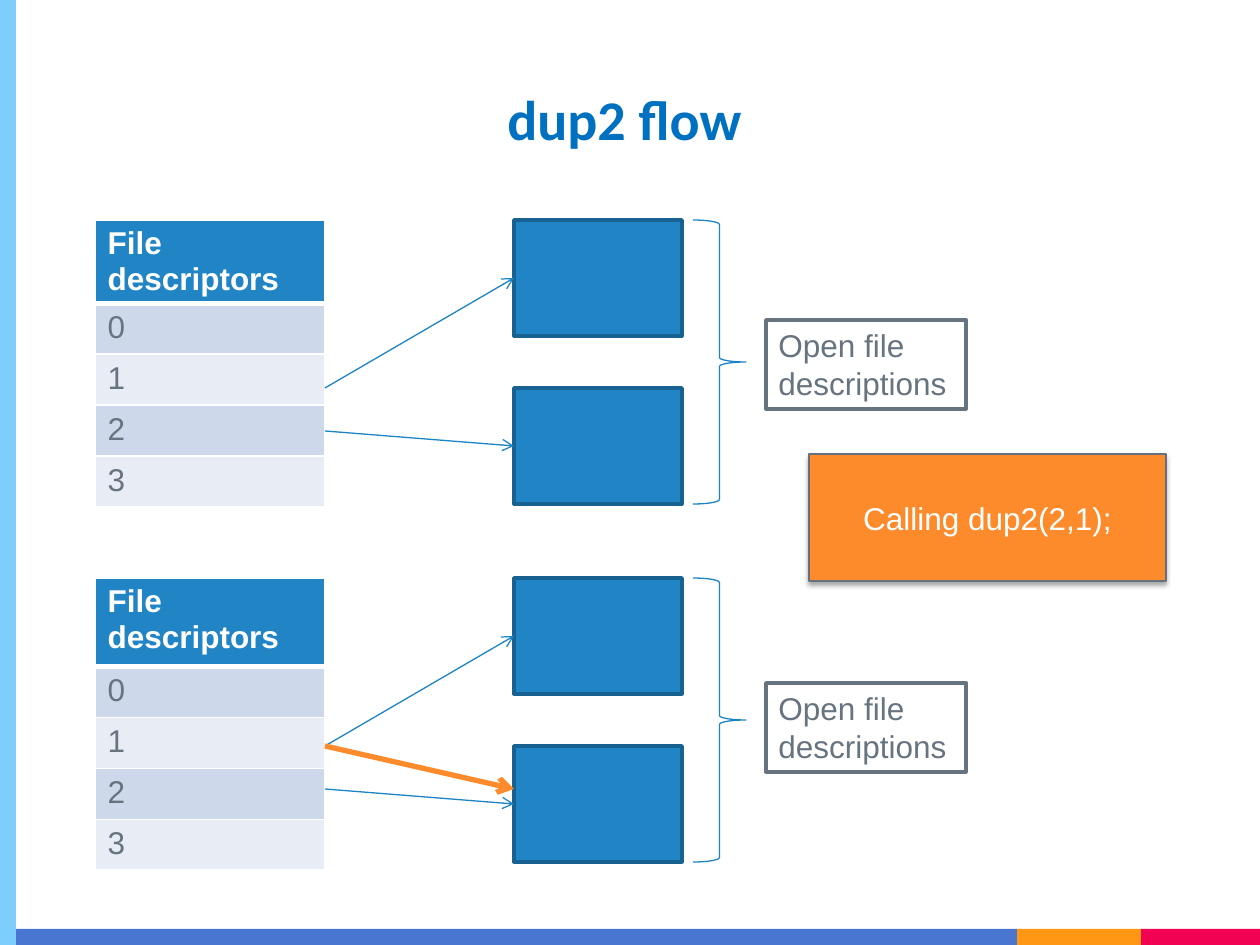
"""Build the dup2 flow slide: descriptor tables before and after the call."""
from lxml.etree import SubElement
from pptx import Presentation
from pptx.dml.color import RGBColor
from pptx.enum.shapes import MSO_CONNECTOR as CONNECTOR, MSO_SHAPE as SHAPE
from pptx.enum.text import MSO_ANCHOR as ANCHOR, MSO_AUTO_SIZE as AUTO_SIZE, PP_ALIGN as ALIGN
from pptx.oxml.ns import qn
from pptx.util import Pt

WHITE = RGBColor(0xFF, 0xFF, 0xFF)
BLACK = RGBColor(0x00, 0x00, 0x00)
TITLE_BLUE = RGBColor(0x00, 0x70, 0xC0)
BLUE = RGBColor(0x21, 0x85, 0xC5)
EDGE_BLUE = RGBColor(0x18, 0x62, 0x92)
LINE_BLUE = RGBColor(0x1C, 0x83, 0xC5)
ROW_DARK = RGBColor(0xCD, 0xD9, 0xEA)
ROW_LIGHT = RGBColor(0xE8, 0xED, 0xF5)
GREY = RGBColor(0x67, 0x74, 0x80)
EDGE_GREY = RGBColor(0x64, 0x71, 0x7E)
ORANGE = RGBColor(0xFD, 0x8A, 0x2B)
BAR_PINK = RGBColor(0xF2, 0x02, 0x53)
BAR_ORANGE = RGBColor(0xFF, 0x97, 0x15)
BAR_BLUE = RGBColor(0x49, 0x76, 0xD1)
BAR_SKY = RGBColor(0x7E, 0xCE, 0xFD)

TITLE = "dup2 flow"
CALL = "Calling dup2(2,1);"
LABEL = "Open file descriptions"
ROWS = ["File descriptors", "0", "1", "2", "3"]
PANELS = [{"top": 220, "label_top": 320}, {"top": 578, "label_top": 683}]
TABLE_LEFT, TABLE_WIDTH, ROW_HEIGHT = 95, 230, 51
FILE_LEFT, FILE_WIDTH, FILE_HEIGHT, FILE_STEP = 514, 168, 116, 168
ARROWS = [(168, 58), (211, 226)]
NEW_ARROW = (168, 211)
BARS = [
    (1140, 929, 120, 16, BAR_PINK),
    (1016, 929, 125, 16, BAR_ORANGE),
    (0, 929, 1017, 16, BAR_BLUE),
    (0, 0, 16, 945, BAR_SKY),
]


def px(*lengths):
    return [round(length * 914400 / 126) for length in lengths]


def add_run(para, text, color, size=18, font="Arial", bold=False):
    run = para.add_run()
    run.text = text
    run.font.name, run.font.size, run.font.bold = font, Pt(size), bold
    run.font.color.rgb = color


def add_box(slide, place, fill=None, line=None, width=0.75, kind=SHAPE.RECTANGLE):
    box = slide.shapes.add_shape(kind, *px(*place))
    box.shadow.inherit = False
    if fill is None:
        box.fill.background()
    else:
        box.fill.solid()
        box.fill.fore_color.rgb = fill
    if line is None:
        box.line.fill.background()
    else:
        box.line.color.rgb = line
        box.line.width = Pt(width)
    return box


def add_text(box, text, color, align):
    frame = box.text_frame
    frame.word_wrap = True
    frame.auto_size = AUTO_SIZE.SHAPE_TO_FIT_TEXT if align == ALIGN.LEFT else AUTO_SIZE.NONE
    frame.vertical_anchor = ANCHOR.TOP if align == ALIGN.LEFT else ANCHOR.MIDDLE
    para = frame.paragraphs[0]
    para.alignment = align
    add_run(para, text, color)


def add_arrow(slide, top, ends, color=LINE_BLUE, width=0.75):
    start, end = ends
    points = px(TABLE_LEFT + TABLE_WIDTH, top + start, FILE_LEFT, top + end)
    arrow = slide.shapes.add_connector(CONNECTOR.STRAIGHT, *points)
    arrow.line.color.rgb = color
    arrow.line.width = Pt(width)
    SubElement(arrow.line._get_or_add_ln(), qn("a:tailEnd"), type="arrow")
    SubElement(arrow._element.spPr, qn("a:effectLst"))


def add_borders(cell, bottom):
    properties = cell._tc.get_or_add_tcPr()
    for index, side in enumerate(("lnL", "lnR", "lnT", "lnB")):
        width = bottom if side == "lnB" else 1
        line = SubElement(properties, qn(f"a:{side}"), w=str(Pt(width)))
        fill = SubElement(line, qn("a:solidFill"))
        SubElement(fill, qn("a:srgbClr"), val=str(WHITE))
        properties.insert(index, line)


def add_descriptors(slide, top):
    place = px(TABLE_LEFT, top, TABLE_WIDTH, ROW_HEIGHT * len(ROWS))
    table = slide.shapes.add_table(len(ROWS), 1, *place).table
    for index, text in enumerate(ROWS):
        header = index == 0
        table.rows[index].height = px(ROW_HEIGHT)[0]
        cell = table.cell(index, 0)
        cell.fill.solid()
        cell.fill.fore_color.rgb = BLUE if header else ROW_DARK if index % 2 else ROW_LIGHT
        add_borders(cell, 3 if header else 1)
        add_run(cell.text_frame.paragraphs[0], text, WHITE if header else GREY, bold=header)


def add_panel(slide, top, label_top):
    add_descriptors(slide, top)
    for index in range(2):
        place = (FILE_LEFT, top + index * FILE_STEP, FILE_WIDTH, FILE_HEIGHT)
        add_box(slide, place, BLUE, EDGE_BLUE, 2)
    for ends in ARROWS:
        add_arrow(slide, top, ends)
    add_box(slide, (693, top, 53, 284), line=LINE_BLUE, kind=SHAPE.RIGHT_BRACE)
    label = add_box(slide, (766, label_top, 200, 89), WHITE, GREY, 2)
    add_text(label, LABEL, GREY, ALIGN.LEFT)


def add_call(slide):
    box = add_box(slide, (809, 454, 357, 127), ORANGE, EDGE_GREY)
    add_text(box, CALL, WHITE, ALIGN.CENTER)
    effects = box._element.spPr.find(qn("a:effectLst"))
    shadow = SubElement(effects, qn("a:outerShdw"), blurRad=str(Pt(3.1)), dist=str(Pt(1.8)),
                        dir="5400000", rotWithShape="0")
    color = SubElement(shadow, qn("a:srgbClr"), val=str(BLACK))
    SubElement(color, qn("a:alpha"), val="35000")


def add_title(slide):
    title = slide.shapes.title
    title.left, title.top, title.width, title.height = px(84, 79, 1081, 78)
    title.text_frame.vertical_anchor = ANCHOR.MIDDLE
    para = title.text_frame.paragraphs[0]
    para.alignment = ALIGN.CENTER
    add_run(para, TITLE, TITLE_BLUE, 32, "Calibri", True)


def main():
    deck = Presentation()
    deck.slide_width, deck.slide_height = px(1260, 945)
    slide = deck.slides.add_slide(deck.slide_layouts[5])
    add_title(slide)
    for panel in PANELS:
        add_panel(slide, **panel)
    add_arrow(slide, PANELS[1]["top"], NEW_ARROW, ORANGE, 3)
    add_call(slide)
    for *place, color in BARS:
        add_box(slide, place, color)
    deck.save("out.pptx")


if __name__ == "__main__":
    main()
